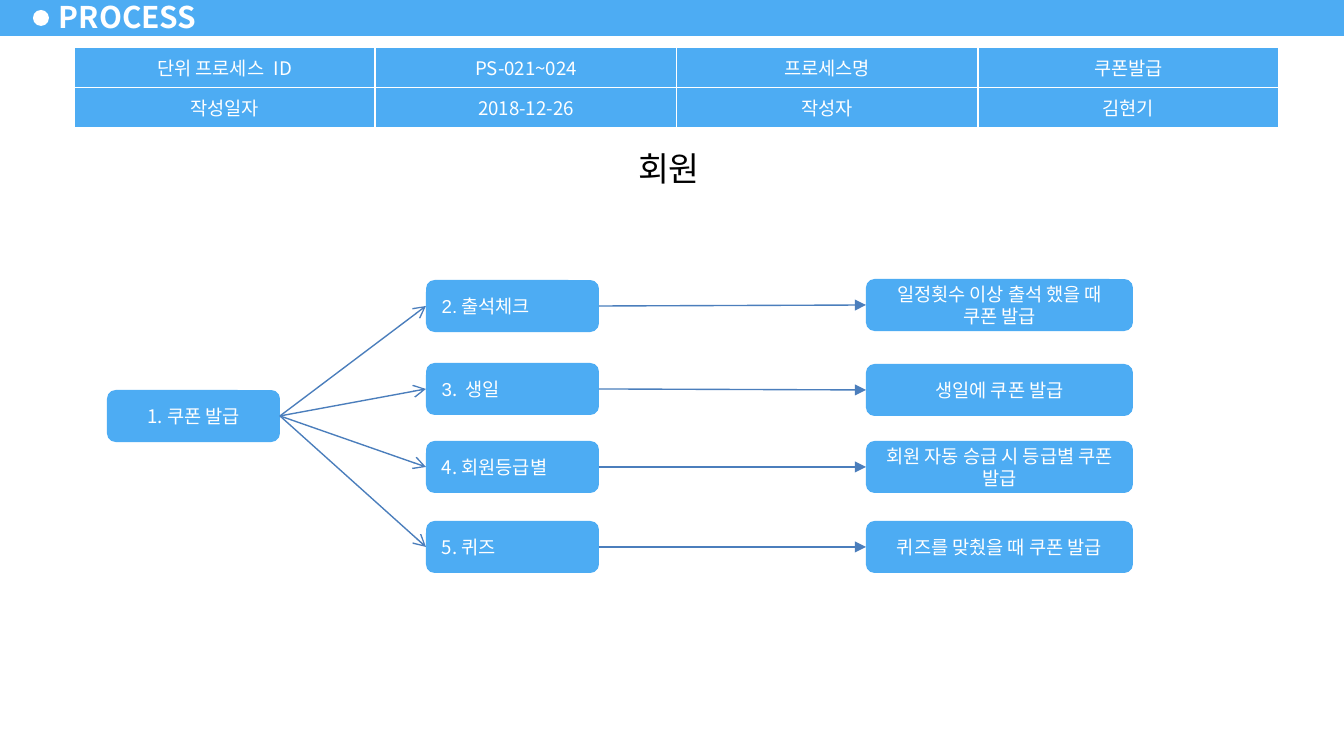
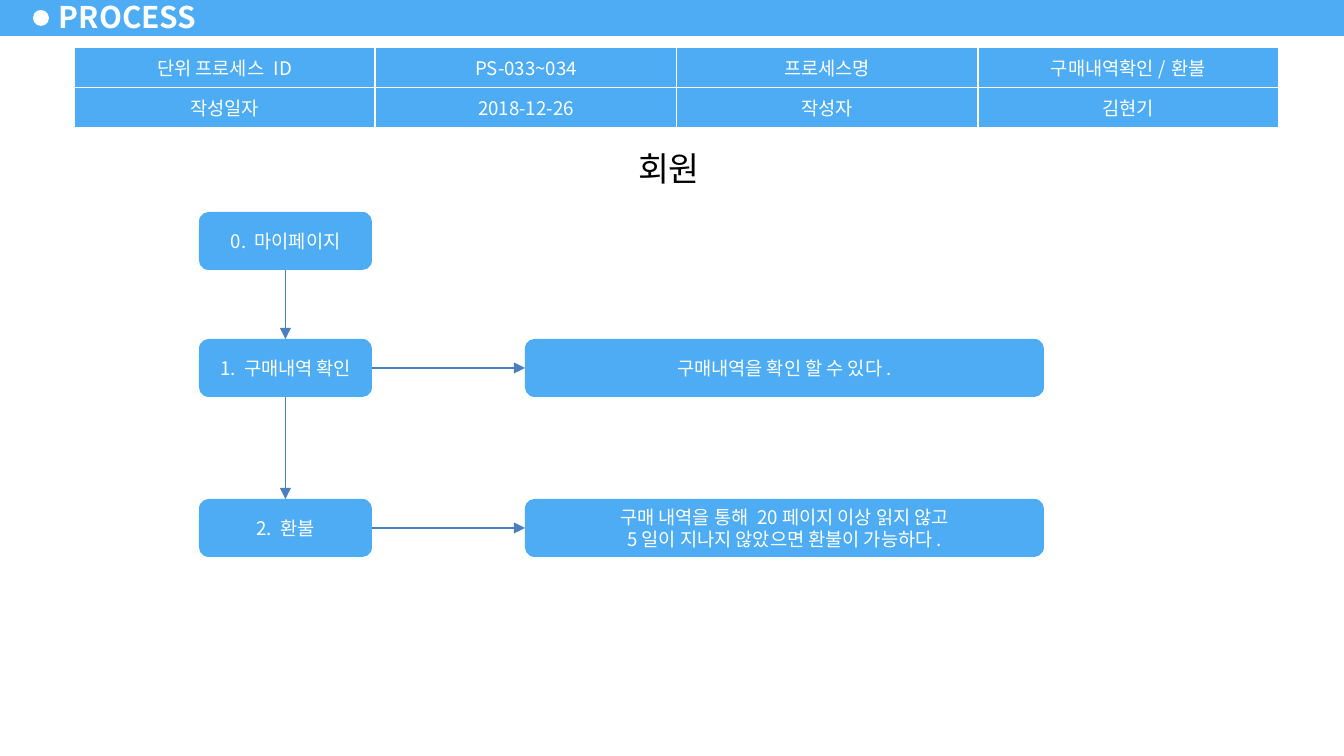
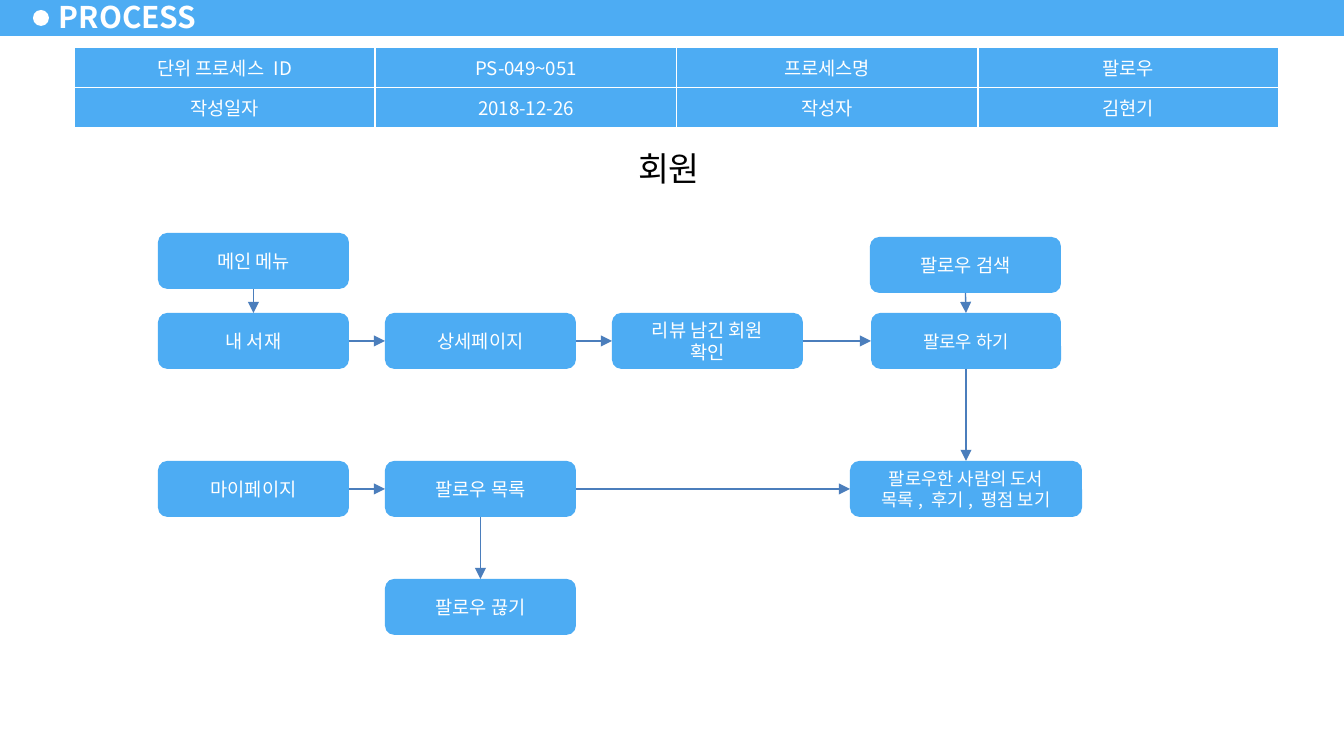
from lxml.etree import SubElement
from pptx import Presentation
from pptx.dml.color import RGBColor
from pptx.enum.shapes import MSO_CONNECTOR, MSO_SHAPE
from pptx.enum.text import MSO_ANCHOR, MSO_AUTO_SIZE, PP_ALIGN
from pptx.oxml.ns import qn
from pptx.util import Emu, Pt

PX = 914400 / 134.4
FONT = "Noto Sans CJK KR"
HEX = {"blue": "4DACF3", "line": "4B7EBC", "white": "FFFFFF", "black": "000000"}
RGB = {name: RGBColor.from_string(code) for name, code in HEX.items()}
RIGHT, DOWN = (3, 1), (2, 0)


def px(*nums):
    return [Emu(round(num * PX)) for num in nums]


def write(frame, text, size=10, color="white", bold=False, align=PP_ALIGN.CENTER,
          anchor=MSO_ANCHOR.MIDDLE, lead=0):
    """Fill a text frame, one paragraph a line; the first `lead` letters are in Arial."""
    frame.vertical_anchor = anchor
    for num, line in enumerate(text.split("\n")):
        para = frame.paragraphs[0] if num == 0 else frame.add_paragraph()
        para.alignment = align
        for part, face in ((line[:lead], "Arial"), (line[lead:], FONT)):
            if part:
                run = para.add_run()
                run.text = part
                run.font.size = Pt(size)
                run.font.bold = bold
                run.font.color.rgb = RGB[color]
                run.font.name = face
                SubElement(run.font._element, qn("a:ea"), typeface=FONT)


# Each box: left, top, width, height, text, text format
coupon = {"start": (107, 390, 173, 52, "1.쿠폰 발급", {})}
coupon_links = []
cases = [
    (280, "2.출석체크", 2, 279, "일정횟수 이상 출석 했을 때 쿠폰 발급"),
    (363, "3. 생일", 1, 364, "생일에 쿠폰 발급"),
    (441, "4.회원등급별", 0, 441, "회원 자동 승급 시 등급별 쿠폰 발급"),
    (521, "5.퀴즈", 0, 521, "퀴즈를 맞췄을 때 쿠폰 발급"),
]
for num, (top, case, lead, end_top, result) in enumerate(cases):
    coupon[f"case{num}"] = (426, top, 173, 52, case,
                            {"align": PP_ALIGN.LEFT, "lead": lead})
    coupon[f"result{num}"] = (866, end_top, 267, 52, result, {})
    coupon_links += [("start", f"case{num}", RIGHT, "arrow"),
                     (f"case{num}", f"result{num}", RIGHT, "triangle")]

refund = {
    "mypage": (199, 212, 173, 58, "0. 마이페이지", {}),
    "check": (199, 339, 173, 58, "1. 구매내역 확인", {}),
    "refund": (199, 499, 173, 58, "2. 환불", {}),
    "check note": (525, 339, 519, 58, "구매내역을 확인 할 수 있다.", {}),
    "refund note": (525, 499, 519, 58, "구매 내역을 통해 20페이지 이상 읽지 않고\n"
                    "5일이 지나지 않았으면 환불이 가능하다.", {}),
}
refund_links = [
    ("mypage", "check", DOWN, "triangle"),
    ("check", "refund", DOWN, "triangle"),
    ("check", "check note", RIGHT, "triangle"),
    ("refund", "refund note", RIGHT, "triangle"),
]

cols = [158 + 227 * num for num in range(3)]
follow = {
    "menu": (cols[0], 233, 191, 56, "메인 메뉴", {}),
    "shelf": (cols[0], 313, 191, 56, "내 서재", {}),
    "detail": (cols[1], 313, 191, 56, "상세페이지", {}),
    "review": (cols[2], 313, 191, 56, "리뷰 남긴 회원\n확인", {}),
    "search": (870, 237, 191, 56, "팔로우 검색", {}),
    "follow": (871, 313, 190, 56, "팔로우 하기", {"size": 9.5}),
    "mypage": (cols[0], 461, 191, 56, "마이페이지", {}),
    "list": (cols[1], 461, 191, 56, "팔로우 목록", {}),
    "view": (850, 461, 232, 56, "팔로우한 사람의 도서\n목록, 후기, 평점 보기", {"size": 9.5}),
    "stop": (cols[1], 579, 191, 56, "팔로우 끊기", {}),
}
follow_links = [
    ("menu", "shelf", DOWN, "triangle"),
    ("shelf", "detail", RIGHT, "triangle"),
    ("detail", "review", RIGHT, "triangle"),
    ("review", "follow", RIGHT, "triangle"),
    ("search", "follow", DOWN, "triangle"),
    ("follow", "view", DOWN, "triangle"),
    ("mypage", "list", RIGHT, "triangle"),
    ("list", "view", RIGHT, "triangle"),
    ("list", "stop", DOWN, "triangle"),
]

flows = [
    ("PS-021~024", "쿠폰발급", coupon, coupon_links),
    ("PS-033~034", "구매내역확인/환불", refund, refund_links),
    ("PS-049~051", "팔로우", follow, follow_links),
]

deck = Presentation()
deck.slide_width, deck.slide_height = px(1344, 756)
layout = deck.slide_layouts[5]

for index, (code, name, boxes, links) in enumerate(flows):
    slide = deck.slides.add_slide(layout)
    shapes = slide.shapes

    # The band and its dot are drawn once and kept in the layout
    if index == 0:
        for kind, area, color in ((MSO_SHAPE.RECTANGLE, (0, -3, 1344, 39), "blue"),
                                  (MSO_SHAPE.OVAL, (33, 10, 16, 16), "white")):
            part = shapes.add_shape(kind, *px(*area))
            part.shadow.inherit = False
            part.fill.solid()
            part.fill.fore_color.rgb = RGB[color]
            part.line.fill.background()
            layout.shapes.element.append(part.element)

    title = shapes.title
    title.left, title.top, title.width, title.height = px(47, -5, 164, 43)
    head = title.text_frame
    head.auto_size = MSO_AUTO_SIZE.NONE
    head.word_wrap = True
    head.margin_left, head.margin_top, head.margin_right, head.margin_bottom = px(12, 5, 0, 5)
    write(head, "PROCESS", size=16, bold=True, align=PP_ALIGN.LEFT)

    rows = [("단위 프로세스 ID", code, "프로세스명", name),
            ("작성일자", "2018-12-26", "작성자", "김현기")]
    table = shapes.add_table(2, 4, *px(74, 47, 1205, 76)).table
    table.first_row = table.horz_banding = False
    for row, texts in enumerate(rows):
        table.rows[row].height = px(38)[0]
        for col, text in enumerate(texts):
            cell = table.cell(row, col)
            props = cell._tc.get_or_add_tcPr()
            for side in ("lnL", "lnR", "lnT", "lnB"):
                edge = SubElement(props, qn(f"a:{side}"), w=str(Pt(1)))
                fill = SubElement(edge, qn("a:solidFill"))
                SubElement(fill, qn("a:srgbClr"), val=HEX["white"])
            cell.fill.solid()
            cell.fill.fore_color.rgb = RGB["blue"]
            write(cell.text_frame, text)
            cell.vertical_anchor = MSO_ANCHOR.MIDDLE

    role = (530, 141, 278, 55, "회원",
            {"size": 18, "color": "black", "anchor": MSO_ANCHOR.TOP})
    drawn = {}
    for key, (*area, text, style) in [("role", role), *boxes.items()]:
        kind = MSO_SHAPE.RECTANGLE if key == "role" else MSO_SHAPE.ROUNDED_RECTANGLE
        box = shapes.add_shape(kind, *px(*area))
        box.shadow.inherit = False
        box.fill.solid()
        box.fill.fore_color.rgb = RGB["white" if key == "role" else "blue"]
        box.line.fill.background()
        box.text_frame.word_wrap = True
        write(box.text_frame, text, **style)
        drawn[key] = box

    for start, end, (out, into), tip in links:
        link = shapes.add_connector(MSO_CONNECTOR.STRAIGHT, 0, 0, 0, 0)
        link.begin_connect(drawn[start], out)
        link.end_connect(drawn[end], into)
        link.line.color.rgb = RGB["line"]
        link.line.width = Pt(0.75)
        SubElement(link.line._get_or_add_ln(), qn("a:tailEnd"), type=tip)
        SubElement(link.element.spPr, qn("a:effectLst"))

deck.save("out.pptx")
